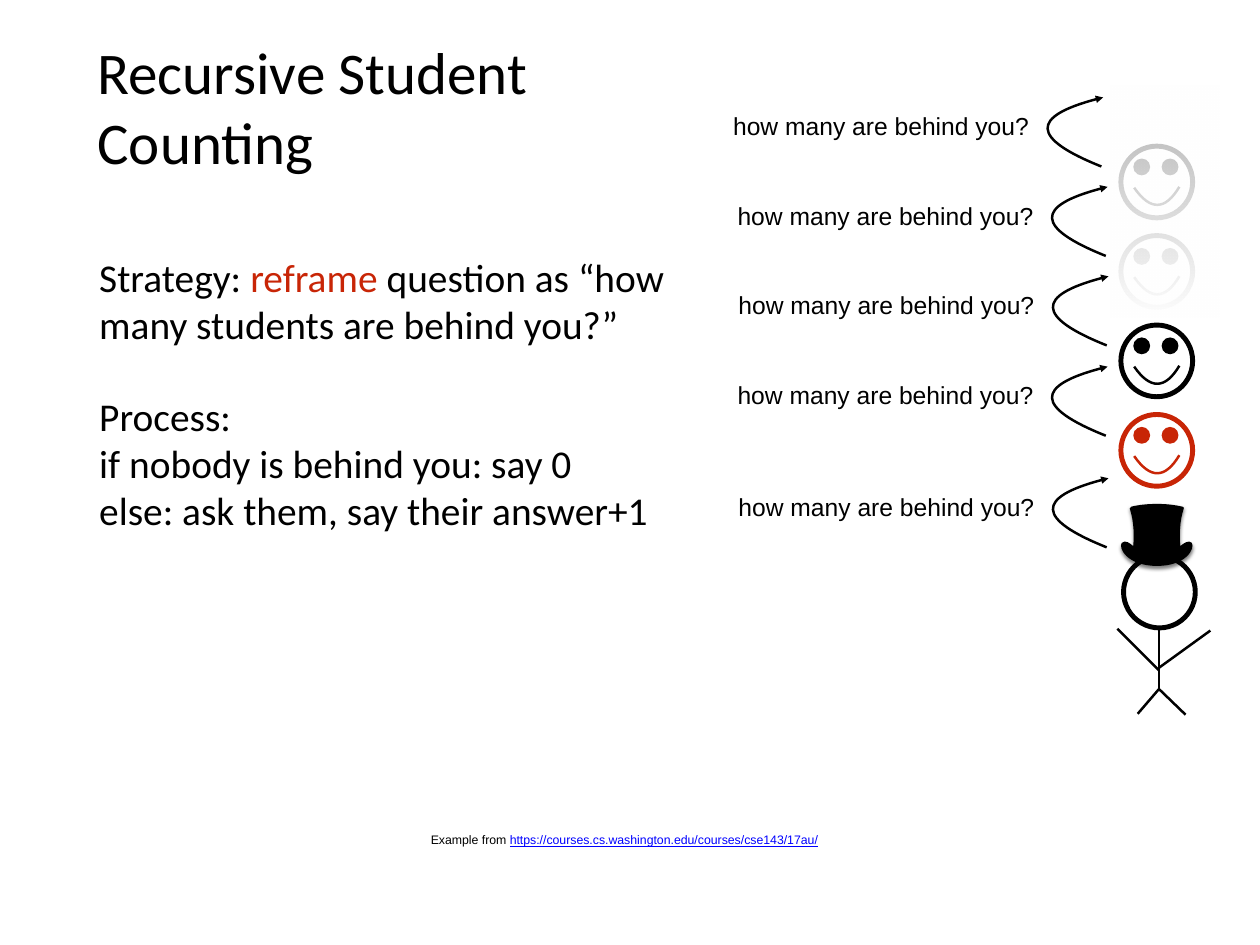
from dataclasses import dataclass

from lxml.etree import SubElement
from pptx import Presentation
from pptx.dml.color import RGBColor
from pptx.enum.shapes import MSO_CONNECTOR, MSO_SHAPE
from pptx.enum.text import MSO_ANCHOR, MSO_AUTO_SIZE, PP_ALIGN
from pptx.oxml.ns import qn
from pptx.shapes.autoshape import Shape
from pptx.shapes.shapetree import GroupShapes, SlideShapes
from pptx.text.text import Font, TextFrame, _Paragraph as Para
from pptx.util import Inches, Pt

Point = tuple[float, float]
Tree = SlideShapes | GroupShapes

COLORS = {"ink": "000000", "red": "C82506", "link": "0000FF", "paper": "FFFFFF"}


@dataclass
class Face:
    top: float
    color: str = "ink"
    group: bool = True


@dataclass
class Ask:
    top: float
    shift: float = 0


@dataclass
class Curve:
    width: float
    height: float
    start: Point
    bends: list[list[Point]]
    close: bool = False


FACES = [Face(4.68, "red", False), Face(3.67), Face(2.66), Face(1.65)]
ASKS = [Ask(4.14), Ask(3.12, 0.01), Ask(2.11), Ask(1.1, -0.05), Ask(5.4, 0.01)]
LIMBS = [
    ((13.08, 7.79), (13.08, 7.1)),
    ((13.08, 7.57), (12.61, 7.1)),
    ((13.66, 7.12), (13.08, 7.54)),
    ((13.38, 8.07), (13.08, 7.78)),
    ((12.84, 8.06), (13.08, 7.78)),
]
SMILE = Curve(0.51, 0.2, (0.51, 0), [[(0.35, 0.27), (0.18, 0.27), (0, 0.01)]])
BOW = Curve(0.62, 0.78, (0.6, 0.78), [[(-0.2, 0.46), (-0.2, 0.2), (0.62, 0)]])
HAT = Curve(0.81, 0.7, (0.41, 0), [
    [(0.3, 0), (0.21, 0.01), (0.12, 0.03)],
    [(0.11, 0.03), (0.1, 0.04), (0.1, 0.05)],
    [(0.15, 0.2), (0.15, 0.37), (0.14, 0.47)],
    [(0.14, 0.47), (0.14, 0.47), (0.13, 0.47)],
    [(0.11, 0.45), (0.05, 0.4), (0.01, 0.44)],
    [(-0.03, 0.49), (0.06, 0.7), (0.41, 0.7)],
    [(0.75, 0.7), (0.84, 0.49), (0.8, 0.44)],
    [(0.77, 0.4), (0.7, 0.45), (0.68, 0.47)],
    [(0.68, 0.47), (0.67, 0.47), (0.67, 0.47)],
    [(0.66, 0.37), (0.66, 0.2), (0.71, 0.05)],
    [(0.71, 0.04), (0.71, 0.03), (0.69, 0.03)],
    [(0.6, 0.01), (0.51, 0), (0.41, 0)],
], True)


def tint(name: str) -> RGBColor:
    return RGBColor.from_string(COLORS[name])


def style(font: Font, size: float, face: str) -> None:
    font.size = Pt(size)
    font.name = face
    font.color.rgb = tint("ink")


def pad(frame: TextFrame) -> None:
    frame.margin_left = frame.margin_right = Inches(0.06)
    frame.margin_top = frame.margin_bottom = Inches(0.06)


def place(shape: Shape, left: float, top: float, width: float, height: float) -> None:
    shape.left, shape.top = Inches(left), Inches(top)
    shape.width, shape.height = Inches(width), Inches(height)
    pad(shape.text_frame)
    shape.text_frame.auto_size = MSO_AUTO_SIZE.NONE


def write(para: Para, lines: list[str]) -> None:
    for i, line in enumerate(lines):
        if i:
            para.add_line_break()
        para.add_run().text = line


def label(tree: Tree, left: float, top: float, width: float, height: float, size: float) -> Para:
    box = tree.add_textbox(Inches(left), Inches(top), Inches(width), Inches(height))
    frame = box.text_frame
    pad(frame)
    frame.word_wrap = False
    frame.auto_size = MSO_AUTO_SIZE.SHAPE_TO_FIT_TEXT
    frame.vertical_anchor = MSO_ANCHOR.MIDDLE
    para = frame.paragraphs[0]
    para.alignment = PP_ALIGN.CENTER
    style(para.font, size, "Arial")
    return para


def paint(shape: Shape, fill: str | None, line: str | None, width: float = 0) -> None:
    shape.shadow.inherit = False
    if fill:
        shape.fill.solid()
        shape.fill.fore_color.rgb = tint(fill)
    else:
        shape.fill.background()
    if line:
        shape.line.color.rgb = tint(line)
        shape.line.width = Pt(width)
    else:
        shape.line.fill.background()


def trace(tree: Tree, left: float, top: float, curve: Curve) -> Shape:
    pen = tree.build_freeform(Inches(left), Inches(top))
    pen.add_line_segments([(Inches(left + curve.width), Inches(top + curve.height))], close=False)
    shape = pen.convert_to_shape()
    route = shape._element.spPr.find(".//" + qn("a:path"))
    for step in list(route):
        route.remove(step)
    steps = [("a:moveTo", [curve.start])] + [("a:cubicBezTo", bend) for bend in curve.bends]
    for tag, points in steps:
        step = SubElement(route, qn(tag))
        for x, y in points:
            SubElement(step, qn("a:pt"), x=str(Inches(x)), y=str(Inches(y)))
    if curve.close:
        SubElement(route, qn("a:close"))
    return shape


def disc(tree: Tree, left: float, top: float, size: float) -> Shape:
    return tree.add_shape(MSO_SHAPE.OVAL, Inches(left), Inches(top), Inches(size), Inches(size))


def draw_face(tree: Tree, face: Face) -> None:
    home = tree.add_group_shape().shapes if face.group else tree
    paint(disc(home, 12.65, face.top, 0.81), None, face.color, 4)
    for left in (12.79, 13.11):
        paint(disc(home, left, face.top + 0.14, 0.19), face.color, None)
    paint(trace(home, 12.8, face.top + 0.46, SMILE), None, face.color, 2)


def draw_man(tree: Tree) -> None:
    group = tree.add_group_shape().shapes
    paint(disc(group, 12.68, 6.28, 0.81), None, "ink", 4)
    for start, end in LIMBS:
        limb = group.add_connector(MSO_CONNECTOR.STRAIGHT, *map(Inches, start + end))
        limb.line.color.rgb = tint("ink")
        limb.line.width = Pt(2)
        SubElement(limb._element.spPr, qn("a:effectLst"))


def draw_veil(tree: Tree) -> None:
    veil = tree.add_shape(MSO_SHAPE.RECTANGLE, Inches(12.53), Inches(0.97), Inches(1.23), Inches(2.61))
    paint(veil, None, None)
    veil.fill.gradient()
    veil.fill.gradient_angle = 270
    for stop in veil.fill.gradient_stops:
        stop.color.rgb = tint("paper")
    first = veil._element.spPr.find(".//" + qn("a:srgbClr"))
    SubElement(first, qn("a:alpha"), val="70000")


def draw_ask(tree: Tree, ask: Ask) -> None:
    bow = trace(tree, 11.88 + ask.shift, ask.top, BOW)
    paint(bow, None, "ink", 2)
    SubElement(bow.line._get_or_add_ln(), qn("a:tailEnd"), type="triangle")
    para = label(tree, 8.26 + ask.shift, ask.top + 0.1, 3.47, 0.44, 20)
    para.add_run().text = "how many are behind you?"


def draw_hat(tree: Tree) -> None:
    hat = trace(tree, 12.65, 5.69, HAT)
    paint(hat, "ink", None)
    effect = hat._element.spPr.find(qn("a:effectLst"))
    shade = SubElement(effect, qn("a:outerShdw"), blurRad=str(Pt(3)), dist=str(Pt(2)), dir="5400000", rotWithShape="0")
    color = SubElement(shade, qn("a:srgbClr"), val=COLORS["ink"])
    SubElement(color, qn("a:alpha"), val="50000")


def fill_body(body: Shape) -> None:
    place(body, 1.06, 2.8, 7.1, 1.41)
    first, second = body.text_frame.paragraphs[0], body.text_frame.add_paragraph()
    for para, space in ((first, 0), (second, 36)):
        props = para._p.get_or_add_pPr()
        props.set("marL", "0")
        props.set("indent", "0")
        para.space_before = Pt(space)
        SubElement(props, qn("a:buNone"))
        style(para.font, 32, "Calibri")
    for text in ("Strategy: ", "reframe", " question as “how many students are behind you?”"):
        run = first.add_run()
        run.text = text
        run.font.color.rgb = tint("red" if text == "reframe" else "ink")
    write(second, ["Process:", "if nobody is behind you: say 0", "else: ask them, say their answer+1"])


def main() -> None:
    deck = Presentation()
    deck.slide_width, deck.slide_height = Inches(14.22), Inches(10.67)
    slide = deck.slides.add_slide(deck.slide_layouts[1])
    tree = slide.shapes
    title = tree.title
    place(title, 1.04, 0.49, 12.14, 1.41)
    title.text_frame.vertical_anchor = MSO_ANCHOR.MIDDLE
    head = title.text_frame.paragraphs[0]
    head.alignment = PP_ALIGN.LEFT
    style(head.font, 48, "Calibri")
    write(head, ["Recursive Student", "Counting"])
    fill_body(slide.placeholders[1])
    credit = label(tree, 4.74, 9.34, 4.61, 0.28, 10)
    credit.add_run().text = "Example from "
    link = credit.add_run()
    link.text = "https://courses.cs.washington.edu/courses/cse143/17au/"
    link.font.color.rgb = tint("link")
    link.font.underline = True
    for face in FACES:
        draw_face(tree, face)
    draw_man(tree)
    draw_veil(tree)
    for ask in ASKS:
        draw_ask(tree, ask)
    draw_hat(tree)
    deck.save("out.pptx")


if __name__ == "__main__":
    main()
